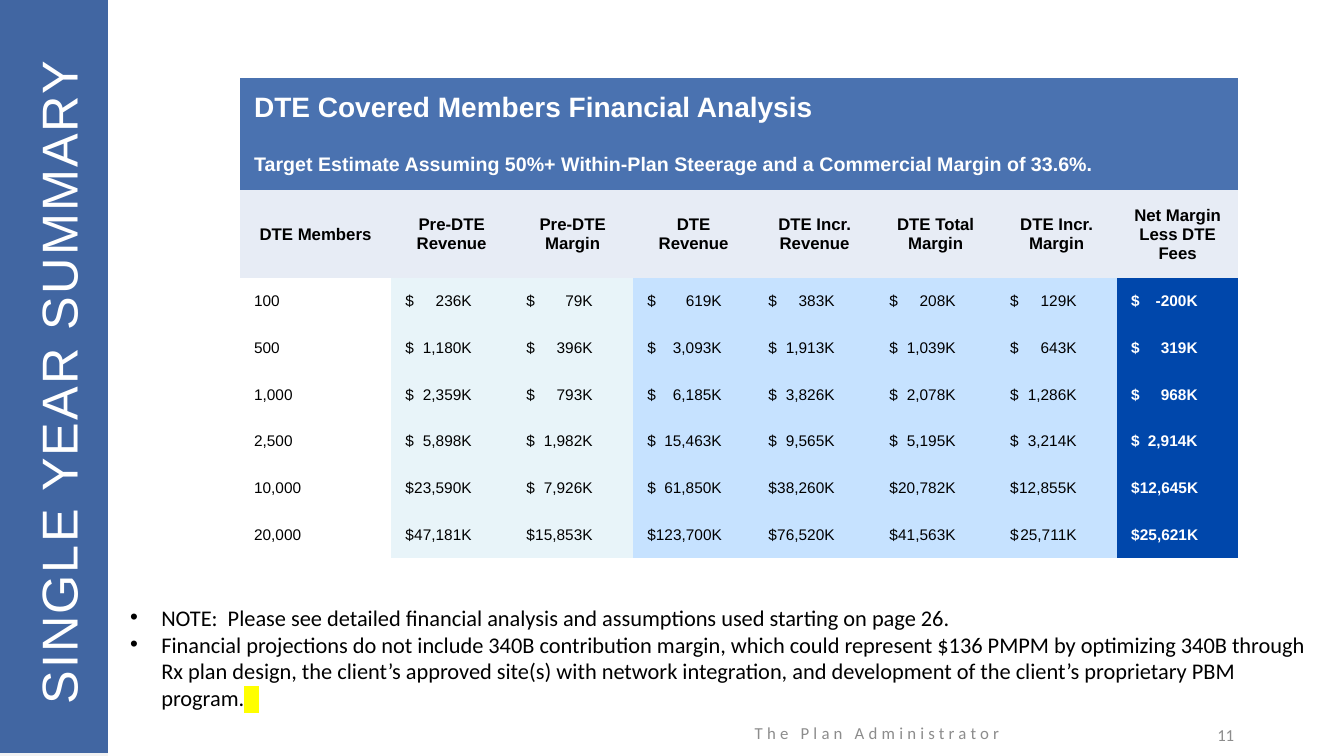
import pptx
import pptx.util
import pptx.dml.color
import pptx.enum.shapes
import pptx.enum.text
import pptx.oxml.ns
import lxml.etree

Inches = pptx.util.Inches
Pt = pptx.util.Pt
RGB = pptx.dml.color.RGBColor.from_string
PP = pptx.enum.text.PP_ALIGN
MID = pptx.enum.text.MSO_ANCHOR.MIDDLE
FIT = pptx.enum.text.MSO_AUTO_SIZE
qn = pptx.oxml.ns.qn

THEME = {
    "side": "254F96", "under": "F2F2F2", "band": "4A72B0", "head": "E7ECF5",
    "pre": "E8F4F9", "post": "C6E2FF", "net": "0047AB",
    "white": "FFFFFF", "black": "000000", "gray": "8C8C8C", "mark": "FFFF00",
    "title": {"name": "Arial", "size": Pt(36), "bold": False},
    "top": {"name": "Arial", "size": Pt(20), "bold": True},
    "sub": {"name": "Arial", "size": Pt(14), "bold": True},
    "label": {"name": "Arial", "size": Pt(12), "bold": True},
    "cell": {"name": "Arial", "size": Pt(11), "bold": False},
    "total": {"name": "Arial", "size": Pt(11), "bold": True},
    "note": {"name": "Calibri", "size": Pt(16)},
    "foot": {"name": "Calibri", "size": Pt(12)},
}


def put(item, values):
    for key, value in values.items():
        setattr(item, key, value)


def write(para, text, kind, color, gap=0):
    run = para.add_run()
    run.text = text
    put(run.font, THEME[kind])
    run.font.color.rgb = RGB(THEME[color])
    if gap:
        run.font._element.set("spc", str(int(gap * 100)))
    return run


deck = pptx.Presentation()
put(deck, {"slide_width": Inches(13.33), "slide_height": Inches(7.5)})
slide = deck.slides.add_slide(deck.slide_layouts[1])
title, notes = slide.placeholders
tree = slide.shapes

# Side bar, a sheer blue over light gray
for top, color, alpha in [(0, "under", 100), (-0.03, "side", 86)]:
    bar = tree.add_shape(pptx.enum.shapes.MSO_SHAPE.RECTANGLE,
                         0, Inches(top), Inches(1.07), Inches(7.5))
    bar.shadow.inherit = False
    bar.fill.solid()
    bar.fill.fore_color.rgb = RGB(THEME[color])
    bar.line.fill.background()
    if alpha < 100:
        tint = bar._element.spPr.find(qn("a:solidFill"))[0]
        lxml.etree.SubElement(tint, qn("a:alpha")).set("val", str(alpha * 1000))

# Title, turned to read upward on the bar
put(title, {"left": Inches(-2.83), "top": Inches(3.32), "width": Inches(6.72),
            "height": Inches(0.82), "rotation": 270})
put(title.text_frame, {"auto_size": FIT.NONE, "vertical_anchor": MID,
                       "word_wrap": True, "margin_top": Inches(0.13)})
line = title.text_frame.paragraphs[0]
line.alignment = PP.LEFT
write(line, "SINGLE YEAR SUMMARY", "title", "white", 1.5)
tree._spTree.append(title._element)

# Notes
put(notes, {"left": Inches(1.19), "top": Inches(5.94),
            "width": Inches(11.9), "height": Inches(1.18)})
put(notes.text_frame, {"auto_size": FIT.SHAPE_TO_FIT_TEXT, "word_wrap": True,
                       "vertical_anchor": pptx.enum.text.MSO_ANCHOR.TOP})
points = [
    "NOTE:  Please see detailed financial analysis and assumptions used starting on page 26.",
    "Financial projections do not include 340B contribution margin, which could represent "
    "$136 PMPM by optimizing 340B through Rx plan design, the client’s approved site(s) with "
    "network integration, and development of the client’s proprietary PBM program.",
]
for spot, text in enumerate(points):
    line = notes.text_frame.paragraphs[0] if spot == 0 else notes.text_frame.add_paragraph()
    put(line, {"space_before": Pt(0), "space_after": Pt(0), "alignment": PP.LEFT})
    props = line._p.get_or_add_pPr()
    props.set("marL", str(Inches(0.31)))
    props.set("indent", str(Inches(-0.31)))
    lxml.etree.SubElement(props, qn("a:buFont")).set("typeface", "Arial")
    lxml.etree.SubElement(props, qn("a:buChar")).set("char", "•")
    write(line, text, "note", "black")

# Yellow mark that ends the last note
mark = write(line, "   ", "note", "black").font._element
glow = lxml.etree.Element(qn("a:highlight"))
lxml.etree.SubElement(glow, qn("a:srgbClr")).set("val", THEME["mark"])
mark.find(qn("a:solidFill")).addnext(glow)
tree._spTree.append(notes._element)

# Table
heads = ["DTE Members", "Pre-DTE Revenue", "Pre-DTE Margin", "DTE Revenue",
         "DTE Incr. Revenue", "DTE Total Margin", "DTE Incr. Margin",
         "Net Margin Less DTE Fees"]
data = [
    ["100", "236K", "79K", "619K", "383K", "208K", "129K", "-200K"],
    ["500", "1,180K", "396K", "3,093K", "1,913K", "1,039K", "643K", "319K"],
    ["1,000", "2,359K", "793K", "6,185K", "3,826K", "2,078K", "1,286K", "968K"],
    ["2,500", "5,898K", "1,982K", "15,463K", "9,565K", "5,195K", "3,214K", "2,914K"],
    ["10,000", "23,590K", "7,926K", "61,850K", "38,260K", "20,782K", "12,855K", "12,645K"],
    ["20,000", "47,181K", "15,853K", "123,700K", "76,520K", "41,563K", "25,711K", "25,621K"],
]
bands = [("DTE Covered Members Financial Analysis", "top"),
         ("Target Estimate Assuming 50%+ Within-Plan Steerage and a "
          "Commercial Margin of 33.6%.", "sub")]
rows = [[text] + [""] * 7 for text, kind in bands] + [heads] + data
fills = [None, "pre", "pre", "post", "post", "post", "post", "net"]
grid = tree.add_table(len(rows), len(heads), Inches(2.38), Inches(0.77),
                      Inches(9.9), Inches(4.77)).table
put(grid, {"first_row": False, "horz_banding": False})
grid._tbl.tblPr.find(qn("a:tableStyleId")).text = "{2D5ABB26-0587-4C30-8999-92F81FD0307C}"
for col, wide in zip(grid.columns, [1.5] + [1.2] * 7):
    col.width = Inches(wide)
for row, high in zip(grid.rows, [0.6, 0.52, 0.87] + [0.463] * 6):
    row.height = Inches(high)
for r, row in enumerate(rows):
    for c, text in enumerate(row):
        cell = grid.cell(r, c)
        put(cell, {"vertical_anchor": MID, "margin_left": Inches(0.14),
                   "margin_right": Inches(0.14), "margin_top": 0, "margin_bottom": 0})
        fill = "band" if r < 2 else "head" if r == 2 else fills[c]
        if fill:
            cell.fill.solid()
            cell.fill.fore_color.rgb = RGB(THEME[fill])
        else:
            cell.fill.background()
        if not text:
            continue
        line = cell.text_frame.paragraphs[0]
        line.alignment = PP.CENTER if r == 2 else PP.LEFT
        if r < 2:
            kind = bands[r][1]
        else:
            kind = "label" if r == 2 else "total" if c == 7 else "cell"
        if r > 2 and c > 0:
            # Amounts line up on a right tab after the dollar sign
            tabs = lxml.etree.SubElement(line._p.get_or_add_pPr(), qn("a:tabLst"))
            stop = lxml.etree.SubElement(tabs, qn("a:tab"))
            stop.set("pos", str(Inches(0.74 if c == 3 else 0.66)))
            stop.set("algn", "r")
            text = "$\t" + text
        write(line, text, kind, "white" if fill in ("band", "net") else "black")
for r in range(len(bands)):
    grid.cell(r, 0).merge(grid.cell(r, 7))

# Footer and page number
for left, top, wide, text, side, gap in [
        (6.45, 7.07, 4.5, "The Plan Administrator", PP.CENTER, 3),
        (9.34, 7.09, 3, "11", PP.RIGHT, 0)]:
    box = tree.add_textbox(Inches(left), Inches(top), Inches(wide), Inches(0.4))
    put(box.text_frame, {"word_wrap": True, "vertical_anchor": MID})
    line = box.text_frame.paragraphs[0]
    line.alignment = side
    write(line, text, "foot", "gray", gap)

deck.save("out.pptx")
